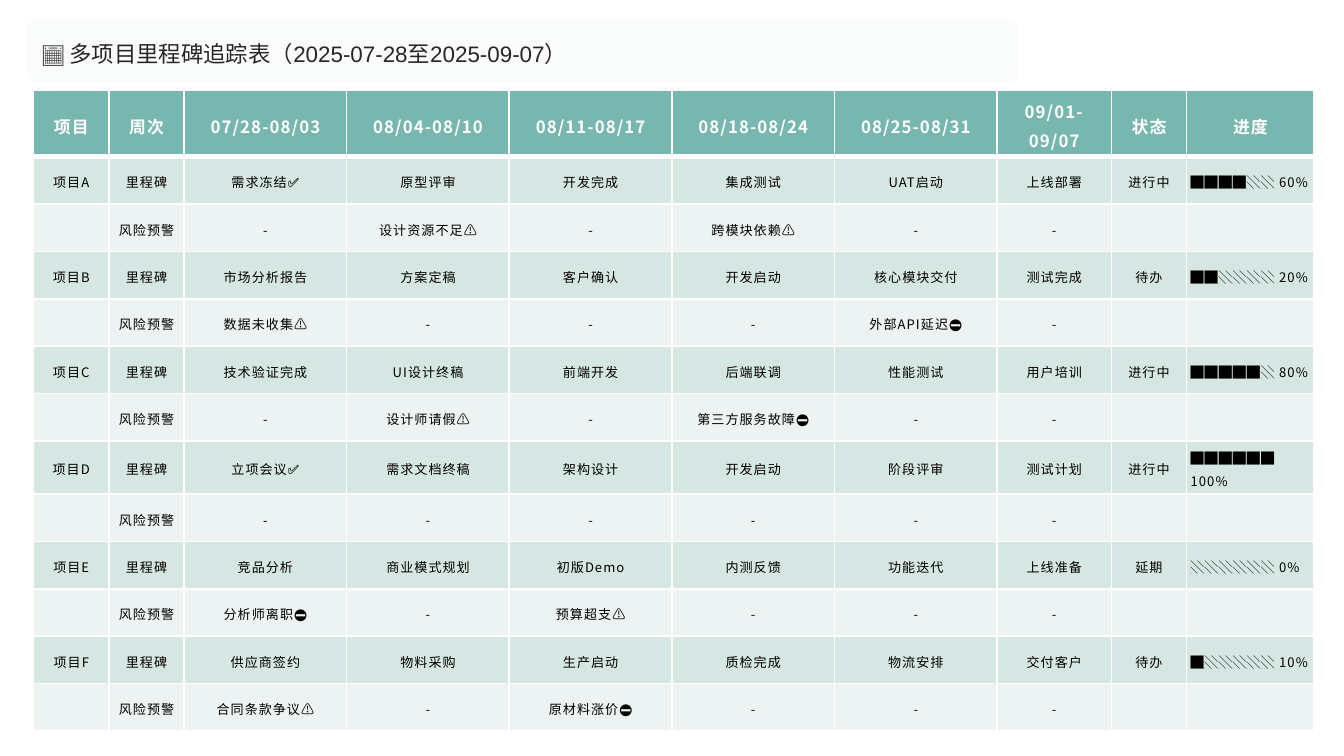
"""Build a one-slide milestone tracker for six projects over six weeks."""
from lxml.etree import SubElement
from pptx import Presentation
from pptx.dml.color import RGBColor
from pptx.enum.shapes import MSO_SHAPE as SHAPE
from pptx.enum.text import MSO_ANCHOR as ANCHOR, PP_ALIGN as ALIGN
from pptx.oxml.ns import qn
from pptx.util import Inches, Pt

CJK_FONT = "Noto Sans CJK SC"


def rgb(color):
    return RGBColor.from_string(color)


def write(frame, text, size=7, font=CJK_FONT, color="000000", bold=False,
          align=ALIGN.CENTER, line=1.2, spacing=0.6):
    paragraph = frame.paragraphs[0]
    paragraph.alignment = align
    paragraph.line_spacing = line
    if not text:
        SubElement(paragraph._p, qn("a:endParaRPr"), sz=str(size * 100))
        return
    run = paragraph.add_run()
    run.text = text
    run.font.size = Pt(size)
    run.font.name = font
    run.font.bold = bold
    run.font.color.rgb = rgb(color)
    props = run.font._element
    if spacing:
        props.set("spc", str(round(spacing * 100)))
    SubElement(props, qn("a:ea"), typeface=CJK_FONT)


weeks = ["07/28-08/03", "08/04-08/10", "08/11-08/17",
         "08/18-08/24", "08/25-08/31", "09/01-09/07"]
projects = [
    ("项目A", "进行中", "████░░ 60%",
     ["需求冻结✅", "原型评审", "开发完成", "集成测试", "UAT启动", "上线部署"],
     ["-", "设计资源不足⚠️", "-", "跨模块依赖⚠️", "-", "-"]),
    ("项目B", "待办", "██░░░░ 20%",
     ["市场分析报告", "方案定稿", "客户确认", "开发启动", "核心模块交付", "测试完成"],
     ["数据未收集⚠️", "-", "-", "-", "外部API延迟⛔", "-"]),
    ("项目C", "进行中", "█████░ 80%",
     ["技术验证完成", "UI设计终稿", "前端开发", "后端联调", "性能测试", "用户培训"],
     ["-", "设计师请假⚠️", "-", "第三方服务故障⛔", "-", "-"]),
    ("项目D", "进行中", "██████ 100%",
     ["立项会议✅", "需求文档终稿", "架构设计", "开发启动", "阶段评审", "测试计划"],
     ["-", "-", "-", "-", "-", "-"]),
    ("项目E", "延期", "░░░░░░ 0%",
     ["竞品分析", "商业模式规划", "初版Demo", "内测反馈", "功能迭代", "上线准备"],
     ["分析师离职⛔", "-", "预算超支⚠️", "-", "-", "-"]),
    ("项目F", "待办", "█░░░░░ 10%",
     ["供应商签约", "物料采购", "生产启动", "质检完成", "物流安排", "交付客户"],
     ["合同条款争议⚠️", "-", "原材料涨价⛔", "-", "-", "-"]),
]
rows = [["项目", "周次", *weeks, "状态", "进度"]]
for project, status, progress, milestones, risks in projects:
    rows.append([project, "里程碑", *milestones, status, progress])
    rows.append(["", "风险预警", *risks, "", ""])

prs = Presentation()
prs.slide_width = Inches(10)
prs.slide_height = prs.slide_width * 9 // 16
slide = prs.slides.add_slide(prs.slide_layouts[6])

title = slide.shapes.add_shape(SHAPE.ROUNDED_RECTANGLE, Inches(0.2), Inches(0.14),
                               Inches(7.38), Inches(0.47))
title.shadow.inherit = False
title.adjustments[0] = 0.17
title.line.fill.background()
title.fill.solid()
title.fill.fore_color.rgb = rgb("E4F1EF")
title_color = title._element.spPr.find(qn("a:solidFill")).find(qn("a:srgbClr"))
SubElement(title_color, qn("a:alpha"), val="20000")
title_frame = title.text_frame
title_frame.word_wrap = True
title_frame.vertical_anchor = ANCHOR.MIDDLE
title_frame.margin_left = title_frame.margin_right = Inches(0.09)
title_frame.margin_top = 0
title_frame.margin_bottom = Inches(0.06)
write(title_frame, "📅 多项目里程碑追踪表（2025-07-28至2025-09-07）", size=12, font="Arial",
      color="262626", align=ALIGN.LEFT, line=1.5, spacing=0)

table_height = 4.69
header_height = 0.46
column_widths = [0.56] * 2 + [1.21] * 5 + [0.85, 0.56, 0.95]
body_height = (table_height - header_height) / (len(rows) - 1)
row_heights = [header_height] + [body_height] * (len(rows) - 1)
tracker = slide.shapes.add_table(len(rows), len(column_widths), Inches(0.25), Inches(0.67),
                                 Inches(9.53), Inches(table_height)).table
for column, width in zip(tracker.columns, column_widths):
    column.width = Inches(width)
for row, height in zip(tracker.rows, row_heights):
    row.height = Inches(height)

for r, texts in enumerate(rows):
    for c, text in enumerate(texts):
        cell = tracker.cell(r, c)
        cell.vertical_anchor = ANCHOR.MIDDLE
        cell.margin_left = cell.margin_right = Inches(0.03)
        cell.margin_top = cell.margin_bottom = Inches(0.03)
        if r == 0:
            fill = "78B7AF"
            write(cell.text_frame, text, size=9, color="FFFFFF", bold=True)
            for side, width in (("L", 1), ("R", 1), ("T", 1), ("B", 3)):
                border = SubElement(cell._tc.get_or_add_tcPr(), qn(f"a:ln{side}"),
                                    w=str(Pt(width)))
                SubElement(SubElement(border, qn("a:solidFill")), qn("a:srgbClr"), val="FFFFFF")
        else:
            fill = "D6E6E3" if r % 2 else "ECF3F2"
            is_progress = c == len(texts) - 1
            write(cell.text_frame, text, align=ALIGN.LEFT if is_progress else ALIGN.CENTER)
        cell.fill.solid()
        cell.fill.fore_color.rgb = rgb(fill)

prs.save("out.pptx")
